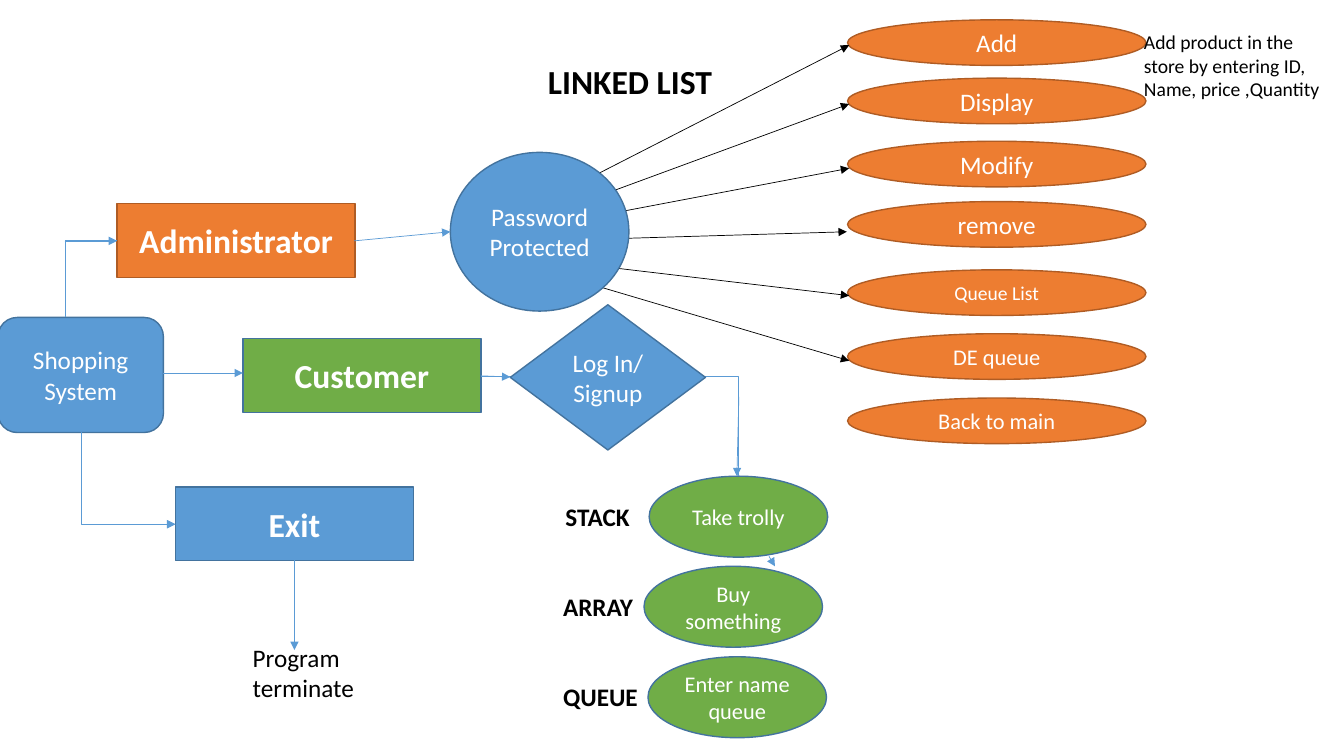
from lxml import etree
from pptx import Presentation
from pptx import util as u
from pptx.dml.color import RGBColor
from pptx.enum import shapes, text
from pptx.oxml.ns import qn

COLORS = {
    "blue": "5B9BD5", "blue_edge": "43739E",
    "orange": "ED7D31", "orange_edge": "AF5C24",
    "green": "70AD47", "white": "FFFFFF", "black": "000000",
}
FONT = "Calibri"
KIND = shapes.MSO_SHAPE


def rgb(name):
    """Return the named colour."""
    return RGBColor.from_string(COLORS[name])


def write(frame, words, size, color, bold):
    """Put one formatted paragraph in a text frame and return it."""
    frame.text = words
    line = frame.paragraphs[0]
    line.font.name, line.font.size, line.font.bold = FONT, u.Pt(size), bold
    line.font.color.rgb = rgb(color)
    return line


def add_node(slide, kind, box, words, fill, size=18, bold=False):
    """Draw a filled step of the flow; box is left, top, width, height in cm."""
    node = slide.shapes.add_shape(kind, *map(u.Cm, box))
    node.shadow.inherit = False
    node.fill.solid()
    node.fill.fore_color.rgb = rgb(fill)
    node.line.color.rgb = rgb("orange_edge" if fill == "orange" else "blue_edge")
    node.line.width = u.Pt(1)
    node.text_frame.word_wrap = True
    node.text_frame.vertical_anchor = text.MSO_ANCHOR.MIDDLE
    write(node.text_frame, words, size, "white", bold).alignment = text.PP_ALIGN.CENTER


def add_label(slide, box, words, size, bold=False, wrap=True):
    """Place free text beside the flow."""
    frame = slide.shapes.add_textbox(*map(u.Cm, box)).text_frame
    frame.word_wrap = wrap
    frame.auto_size = text.MSO_AUTO_SIZE.SHAPE_TO_FIT_TEXT
    write(frame, words, size, "black", bold)


def add_link(slide, start, end, color="blue", arrow="tailEnd", elbow=False):
    """Join two points; an elbow runs sideways first, then up or down."""
    kind = shapes.MSO_CONNECTOR.ELBOW if elbow else shapes.MSO_CONNECTOR.STRAIGHT
    link = slide.shapes.add_connector(kind, *map(u.Cm, start + end))
    link.line.color.rgb = rgb(color)
    link.line.width = u.Pt(0.5)
    props = link._element.spPr
    if elbow:
        props.find(qn("a:prstGeom")).set("prst", "bentConnector2")
    if arrow:
        etree.SubElement(props.find(qn("a:ln")), qn(f"a:{arrow}"), type="triangle")
    etree.SubElement(props, qn("a:effectLst"))


def add_main_menu(slide):
    """Draw the shopping system and its three branches."""
    for words, left, top, fill in (
        ("Administrator", 2.95, 5.13, "orange"),
        ("Customer", 6.12, 8.53, "green"),
        ("Exit", 4.42, 12.27, "blue"),
    ):
        add_node(slide, KIND.RECTANGLE, (left, top, 6, 1.86), words, fill, 24, True)
    add_node(slide, KIND.ROUNDED_RECTANGLE, (-0.05, 8, 4.17, 2.9),
             "Shopping System", "blue")
    add_link(slide, (4.12, 9.4), (6.12, 9.4))
    add_link(slide, (4.42, 13.21), (2.05, 10.9), arrow="headEnd", elbow=True)
    add_link(slide, (2.95, 6.07), (1.65, 8), arrow=None, elbow=True)
    add_link(slide, (1.63, 6.07), (2.95, 6.07))
    add_link(slide, (2.95, 13.21), (4.42, 13.21))
    add_link(slide, (7.42, 14.12), (7.42, 16.38))
    add_label(slide, (6.12, 16.05, 3.38, 1.85), "Program terminate", 18)


def add_administrator_actions(slide):
    """Draw the product actions and the links from the password check."""
    for words, top, size in (
        ("Add", 0.5, 18), ("Display", 1.97, 18), ("Modify", 3.56, 18),
        ("remove", 5.08, 18), ("Queue List", 6.8, 14),
        ("DE queue", 8.41, 16), ("Back to main", 10.03, 16),
    ):
        add_node(slide, KIND.OVAL, (21.36, top, 7.52, 1.15), words, "orange", size)
    for start_y, end in (
        (5.13, (21.4, 1.14)), (5.49, (21.4, 2.62)), (5.72, (21.4, 4.24)),
        (6.07, (21.34, 5.84)), (6.53, (21.4, 7.45)), (6.78, (21.4, 9.09)),
    ):
        add_link(slide, (13.6, start_y), end, "black")
    add_label(slide, (28.58, 0.64, 5.28, 2.06),
              "Add product in the store by entering ID, Name, price ,Quantity", 14)
    add_label(slide, (13.56, 1.4, 5.08, 1.27), "LINKED LIST", 24, True)


def add_customer_steps(slide):
    """Draw the shopping steps with their data structures."""
    for words, left, top in (
        ("Buy something", 16.23, 14.27), ("Take trolly", 16.36, 12),
        ("Enter name queue", 16.33, 16.55),
    ):
        add_node(slide, KIND.OVAL, (left, top, 4.5, 2.04), words, "green", 16)
    for words, left, top, width, wrap in (
        ("STACK", 14, 12.52, 2.82, True),
        ("ARRAY", 13.94, 14.77, 2.29, False),
        ("QUEUE", 13.94, 17.04, 2.41, False),
    ):
        add_label(slide, (left, top, width, 1.03), words, 18, True, wrap)
    add_link(slide, (12.12, 9.48), (18.6, 12), arrow=None, elbow=True)
    add_link(slide, (18.62, 10), (18.57, 12))
    add_link(slide, (19.38, 14.02), (19.53, 14.27))


def add_access_checks(slide):
    """Draw the login and password checks over the links that leave them."""
    add_node(slide, KIND.DIAMOND, (12.86, 7.68, 4.92, 3.66), "Log In/ Signup", "blue")
    add_node(slide, KIND.OVAL, (11.35, 3.84, 4.5, 4), "Password Protected", "blue")
    add_link(slide, (8.92, 6.07), (11.35, 5.84))
    add_link(slide, (12.12, 9.47), (12.86, 9.5))


def main():
    """Build the shopping system flow slide."""
    deck = Presentation()
    deck.slide_width, deck.slide_height = u.Cm(33.87), u.Cm(19.05)
    slide = deck.slides.add_slide(deck.slide_layouts[6])
    add_main_menu(slide)
    add_administrator_actions(slide)
    add_customer_steps(slide)
    add_access_checks(slide)
    deck.save("out.pptx")


main()
